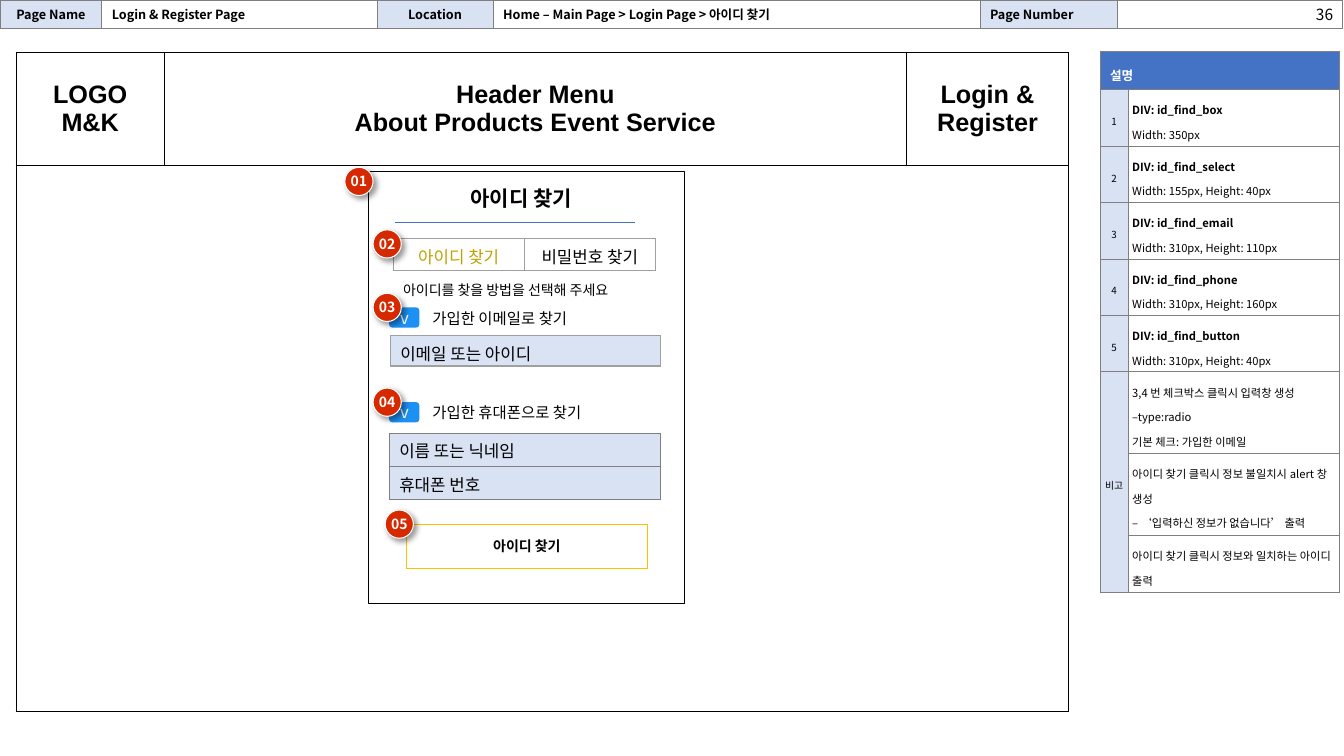
from dataclasses import dataclass, replace
from typing import Optional

from lxml.etree import SubElement
from pptx import Presentation
from pptx.dml.color import RGBColor
from pptx.enum.shapes import MSO_CONNECTOR, MSO_SHAPE
from pptx.enum.text import MSO_ANCHOR, PP_ALIGN
from pptx.oxml import parse_xml
from pptx.oxml.ns import nsdecls, qn
from pptx.util import Inches, Pt

BLACK = RGBColor(0x00, 0x00, 0x00)
WHITE = RGBColor(0xFF, 0xFF, 0xFF)
GRAY = RGBColor(0x7F, 0x7F, 0x7F)
SILVER = RGBColor(0xA0, 0xA0, 0xA0)
PALE_BLUE = RGBColor(0xD8, 0xE2, 0xF3)
INPUT_BLUE = RGBColor(0xDA, 0xE3, 0xF3)
BLUE = RGBColor(0x44, 0x72, 0xC4)
CHECK_BLUE = RGBColor(0x1C, 0x90, 0xF3)
RED = RGBColor(0xD6, 0x29, 0x00)
AMBER = RGBColor(0xFF, 0xC0, 0x00)
GOLD = RGBColor(0xBF, 0xA1, 0x00)
KOREAN = "Noto Sans CJK KR"
LATIN = "Arial"
LEFT, CENTER, RIGHT = PP_ALIGN.LEFT, PP_ALIGN.CENTER, PP_ALIGN.RIGHT
TOP, MIDDLE = MSO_ANCHOR.TOP, MSO_ANCHOR.MIDDLE


@dataclass(frozen=True)
class Style:
    size: float
    bold: bool = False
    color: RGBColor = BLACK
    font: str = KOREAN
    align: PP_ALIGN = LEFT
    anchor: MSO_ANCHOR = MIDDLE
    spacing: Optional[float] = None
    inset_x: float = 0.1
    inset_y: float = 0.05
    bold_first: bool = False


@dataclass(frozen=True)
class Cell:
    lines: tuple[str, ...]
    style: Style
    fill: RGBColor = WHITE


@dataclass(frozen=True)
class Place:
    left: float
    top: float
    width: float
    height: float

    def lengths(self) -> list[int]:
        return [Inches(value) for value in (self.left, self.top, self.width, self.height)]


@dataclass(frozen=True)
class Badge:
    label: str
    left: float
    top: float


@dataclass(frozen=True)
class CheckOption:
    label: str
    top: float
    width: float


def write_text(frame, lines: tuple[str, ...], style: Style) -> None:
    for index, line in enumerate(lines):
        para = frame.paragraphs[0] if index == 0 else frame.add_paragraph()
        para.alignment = style.align
        if style.spacing:
            para.line_spacing = style.spacing
        if not line:
            SubElement(para._p, qn("a:endParaRPr"), sz=str(int(style.size * 100)))
            continue
        span = para.add_run()
        span.text = line
        span.font.size = Pt(style.size)
        span.font.bold = style.bold or (style.bold_first and index == 0)
        span.font.color.rgb = style.color
        span.font.name = style.font
        SubElement(span.font._element, qn("a:ea"), typeface=KOREAN)


def set_insets(target, style: Style) -> None:
    target.margin_left = target.margin_right = Inches(style.inset_x)
    target.margin_top = target.margin_bottom = Inches(style.inset_y)
    target.vertical_anchor = style.anchor


def add_text(page, place: Place, text: str, style: Style) -> None:
    frame = page.shapes.add_textbox(*place.lengths()).text_frame
    frame.word_wrap = True
    set_insets(frame, style)
    write_text(frame, (text,), style)


def add_box(page, kind: MSO_SHAPE, place: Place, fill: Optional[RGBColor],
            line: Optional[RGBColor], text: str = "", style: Style = Style(10)):
    box = page.shapes.add_shape(kind, *place.lengths())
    box.shadow.inherit = False
    if fill is None:
        box.fill.background()
    else:
        box.fill.solid()
        box.fill.fore_color.rgb = fill
    if line is None:
        box.line.fill.background()
    else:
        box.line.color.rgb = line
        box.line.width = Pt(0.75)
    if text:
        box.text_frame.word_wrap = True
        set_insets(box.text_frame, style)
        write_text(box.text_frame, (text,), style)
    return box


def set_borders(cell, color: RGBColor, width: float) -> None:
    properties = cell._tc.get_or_add_tcPr()
    for index, side in enumerate("LRTB"):
        properties.insert(index, parse_xml(
            f'<a:ln{side} {nsdecls("a")} w="{Pt(width)}"><a:solidFill>'
            f'<a:srgbClr val="{color}"/></a:solidFill></a:ln{side}>'))


def add_grid(page, left: float, top: float, widths: list[float], heights: list[float],
             rows: list[list[Optional[Cell]]], border: RGBColor, border_width: float = 0.75):
    place = Place(left, top, sum(widths), sum(heights))
    table = page.shapes.add_table(len(heights), len(widths), *place.lengths()).table
    table.first_row = table.horz_banding = False
    for column, width in zip(table.columns, widths):
        column.width = Inches(width)
    for row, height, contents in zip(table.rows, heights, rows):
        row.height = Inches(height)
        for cell, content in zip(row.cells, contents):
            cell.fill.solid()
            cell.fill.fore_color.rgb = content.fill if content else WHITE
            if content:
                set_insets(cell, content.style)
                write_text(cell.text_frame, content.lines, content.style)
            set_borders(cell, border, border_width)
    return table


def add_badge(page, badge: Badge) -> None:
    style = Style(10, True, WHITE, align=CENTER, inset_x=0, inset_y=0)
    circle = add_box(page, MSO_SHAPE.OVAL, Place(badge.left, badge.top, 0.28, 0.28),
                     RED, WHITE, badge.label, style)
    effects = circle._element.spPr.find(qn("a:effectLst"))
    effects.append(parse_xml(
        f'<a:outerShdw {nsdecls("a")} blurRad="{Pt(4)}" dist="{Pt(3)}" dir="2700000">'
        '<a:srgbClr val="000000"><a:alpha val="40000"/></a:srgbClr></a:outerShdw>'))


def add_check_option(page, option: CheckOption) -> None:
    check = add_box(page, MSO_SHAPE.ROUNDED_RECTANGLE, Place(3.86, option.top, 0.3, 0.2),
                    CHECK_BLUE, None, "v", Style(12, color=WHITE, align=CENTER))
    check.adjustments[0] = 0.167
    add_text(page, Place(4.19, option.top - 0.01, option.width, 0.23), option.label, Style(11))


def add_page_frame(page) -> None:
    heading = Style(18, True, font=LATIN, align=CENTER)
    menu = [("LOGO", "M&K"), ("Header Menu", "About Products Event Service"), ("Login &", "Register")]
    frame = add_grid(page, 0.16, 0.52, [1.47, 7.36, 1.61], [1.12, 5.42],
                     [[Cell(lines, heading) for lines in menu], [None] * 3], BLACK)
    frame.cell(1, 0).merge(frame.cell(1, 2))

    value = Style(9, True)
    label = replace(value, align=CENTER)
    add_grid(page, 0, 0, [1.01, 2.73, 1.15, 4.83, 1.36, 2.24], [0.28], [[
        Cell(("Page Name",), label, PALE_BLUE), Cell(("Login & Register Page",), value),
        Cell(("Location",), label, PALE_BLUE),
        Cell(("Home – Main Page > Login Page > 아이디 찾기",), value),
        Cell(("Page Number",), value, PALE_BLUE), Cell(("",), value)]], GRAY)
    add_text(page, Place(11.07, 0, 2.25, 0.25), "36", Style(11, align=RIGHT, anchor=TOP))


def add_description(page) -> None:
    title = Style(9, True, WHITE, spacing=1.5)
    number = Style(7, align=CENTER, spacing=1.5, inset_x=0)
    note = Style(8, spacing=1.5, inset_x=0.04, inset_y=0.04)
    division = replace(note, bold_first=True)
    divisions = [("box", "Width: 350px"), ("select", "Width: 155px, Height: 40px"),
                 ("email", "Width: 310px, Height: 110px"), ("phone", "Width: 310px, Height: 160px"),
                 ("button", "Width: 310px, Height: 40px")]
    notes = [("3,4 번 체크박스 클릭시 입력창 생성", "–type:radio", "기본 체크: 가입한 이메일"),
             ("아이디 찾기 클릭시 정보 불일치시 alert 창 생성", "– ‘입력하신 정보가 없습니다’ 출력"),
             ("아이디 찾기 클릭시 정보와 일치하는 아이디 출력",)]
    rows = [[Cell(("설명",), title, BLUE), None]]
    rows += [[Cell((str(index),), number, PALE_BLUE), Cell((f"DIV: id_find_{name}", size), division)]
             for index, (name, size) in enumerate(divisions, 1)]
    rows += [[None, Cell(lines, note)] for lines in notes]
    rows[6][0] = Cell(("비고",), number, PALE_BLUE)
    table = add_grid(page, 10.91, 0.51, [0.28, 2.1], [0.38] + [0.56] * 5 + [0.81, 0.81, 0.57], rows, GRAY)
    table.cell(0, 0).merge(table.cell(0, 1))
    table.cell(6, 0).merge(table.cell(8, 0))


def add_find_form(page) -> None:
    add_box(page, MSO_SHAPE.RECTANGLE, Place(4.03, 5.2, 2.39, 0.44), WHITE, AMBER,
            "아이디 찾기", Style(10, True, align=CENTER))
    add_box(page, MSO_SHAPE.RECTANGLE, Place(3.66, 1.7, 3.13, 4.29), None, BLACK)
    add_text(page, Place(4.28, 1.78, 1.78, 0.38), "아이디 찾기",
             Style(15, True, align=CENTER, inset_x=0.01, inset_y=0.01))
    rule = page.shapes.add_connector(MSO_CONNECTOR.STRAIGHT, Inches(3.92), Inches(2.21),
                                     Inches(6.3), Inches(2.21))
    rule.line.color.rgb = BLUE
    rule.line.width = Pt(0.75)
    SubElement(rule._element.spPr, qn("a:effectLst"))

    field = Style(12, font=LATIN, anchor=TOP)
    tab = replace(field, align=CENTER)
    add_grid(page, 3.9, 2.37, [1.3, 1.3], [0.31],
             [[Cell(("아이디 찾기",), replace(tab, color=GOLD)), Cell(("비밀번호 찾기",), tab)]], SILVER, 1)
    add_text(page, Place(3.9, 2.73, 2.64, 0.29), "아이디를 찾을 방법을 선택해 주세요", Style(10))
    for option in (CheckOption("가입한 이메일로 찾기", 3.05, 1.71),
                   CheckOption("가입한 휴대폰으로 찾기", 3.99, 1.95)):
        add_check_option(page, option)
    add_grid(page, 3.87, 3.33, [2.68], [0.3], [[Cell(("이메일 또는 아이디",), field, INPUT_BLUE)]], SILVER, 1)
    add_grid(page, 3.86, 4.3, [2.69], [0.33] * 2,
             [[Cell((text,), replace(field, anchor=MIDDLE), PALE_BLUE)]
              for text in ("이름 또는 닉네임", "휴대폰 번호")], GRAY)
    for badge in (Badge("01", 3.42, 1.66), Badge("02", 3.7, 2.28), Badge("03", 3.7, 2.91),
                  Badge("04", 3.7, 3.85), Badge("05", 3.82, 5.06)):
        add_badge(page, badge)


def main() -> None:
    deck = Presentation()
    deck.slide_width, deck.slide_height = Inches(13.33), Inches(7.5)
    page = deck.slides.add_slide(deck.slide_layouts[6])
    add_page_frame(page)
    add_description(page)
    add_find_form(page)
    deck.save("out.pptx")


if __name__ == "__main__":
    main()
